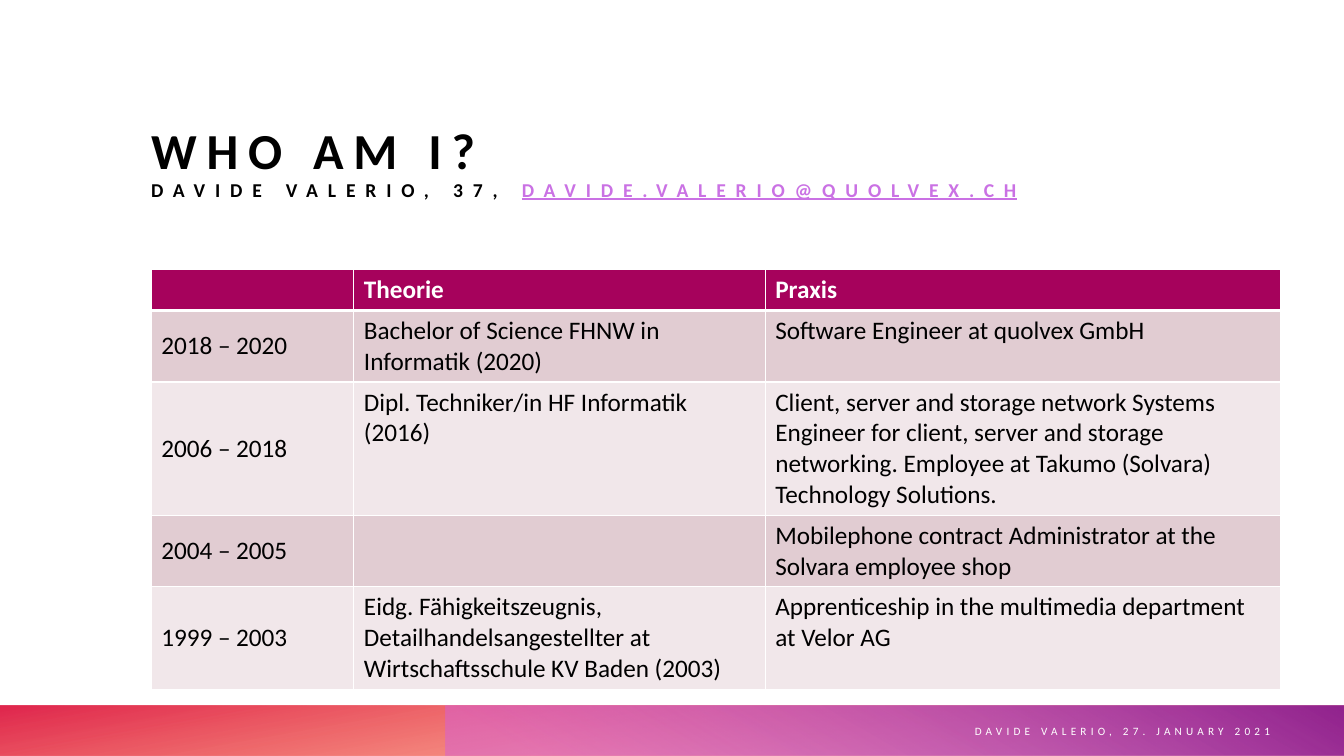
"""Build the "Who am I?" slide with a career table."""
from lxml import etree
from pptx import Presentation
from pptx import util as u
from pptx.dml.color import RGBColor
from pptx.enum import shapes, text
from pptx.oxml.ns import qn

BLACK = RGBColor(0x00, 0x00, 0x00)
WHITE = RGBColor(0xFF, 0xFF, 0xFF)
LILAC = RGBColor(0xCA, 0x71, 0xE4)
CRIMSON = RGBColor(0xA6, 0x02, 0x5C)
ROSE = RGBColor(0xE1, 0xCC, 0xD2)
PALE_ROSE = RGBColor(0xF1, 0xE7, 0xEA)
ORANGE = RGBColor(0xFE, 0x4A, 0x00)
RED = RGBColor(0xDA, 0x00, 0x2F)
ORCHID = RGBColor(0xD8, 0x61, 0xD4)
PURPLE = RGBColor(0x92, 0x24, 0x8E)

CAREER = [
    ("", "Theorie", "Praxis"),
    ("2018 – 2020", "Bachelor of Science FHNW in Informatik\u00a0(2020)",
     "Software Engineer at quolvex GmbH"),
    ("2006 – 2018", "Dipl. Techniker/in HF Informatik (2016)",
     "Client, server and storage network Systems Engineer for client, server and "
     "storage networking. Employee at Takumo (Solvara) Technology Solutions."),
    ("2004 – 2005", "", "Mobilephone contract Administrator at the Solvara employee shop"),
    ("1999 – 2003",
     "Eidg. Fähigkeitszeugnis, Detailhandelsangestellter at Wirtschaftsschule KV Baden (2003)",
     "Apprenticeship in the multimedia department at Velor AG"),
]
COLUMN_WIDTHS = [2.01, 4.08, 5.11]
ROW_HEIGHTS = [0.41, 0.71, 1.32, 0.71, 1.01]


class SlideBuilder:
    def __init__(self, slide, font_name="Calibri"):
        self.slide = slide
        self.font_name = font_name

    def style(self, font, size, color, bold=False):
        font.name = self.font_name
        font.size = u.Pt(size)
        font.bold = bold
        font.color.rgb = color

    def spaced_span(self, para, wording, spacing):
        span = para.add_run()
        span.text = wording
        span.font._element.set("spc", str(spacing * 100))
        return span

    def band(self, left, width, stops, angle, rotation=0):
        band = self.slide.shapes.add_shape(
            shapes.MSO_SHAPE.RECTANGLE, u.Inches(left), u.Inches(7), u.Inches(width), u.Inches(0.5))
        band.shadow.inherit = False
        band.line.fill.background()
        band.rotation = rotation
        band._element.spPr.find(qn("a:xfrm")).set("flipH", "1")
        band.fill.gradient()
        band.fill.gradient_angle = 360 - angle
        for stop, (position, color, _) in zip(band.fill.gradient_stops, stops):
            stop.position = position / 100
            stop.color.rgb = color
        for node, (_, _, opacity) in zip(band._element.spPr.iter(qn("a:srgbClr")), stops):
            etree.SubElement(node, qn("a:alpha")).set("val", str(opacity * 1000))

    def title(self, heading, name, address):
        title = self.slide.shapes.title
        title.left, title.top = u.Inches(1.5), u.Inches(0.87)
        title.width, title.height = u.Inches(11.2), u.Inches(1.35)
        frame = title.text_frame
        frame.auto_size = text.MSO_AUTO_SIZE.NONE
        frame.vertical_anchor = text.MSO_ANCHOR.BOTTOM
        frame.margin_left = frame.margin_top = frame.margin_right = 0
        frame.margin_bottom = u.Inches(0.22)
        para = frame.paragraphs[0]
        para.alignment = text.PP_ALIGN.LEFT
        para.line_spacing = 0.9
        self.style(self.spaced_span(para, heading, 7).font, 36, BLACK, True)
        para.add_line_break()
        self.style(self.spaced_span(para, name, 7).font, 14, BLACK, True)
        contact = self.spaced_span(para, address, 7)
        self.style(contact.font, 14, LILAC, True)
        contact.font.underline = True

    def cell_borders(self, cell, top, bottom):
        properties = cell._tc.get_or_add_tcPr()
        sides = {"lnL": 1, "lnR": 1, "lnT": top, "lnB": bottom}
        for index, (side, points) in enumerate(sides.items()):
            line = etree.Element(qn(f"a:{side}"), w=str(u.Pt(points)))
            fill = etree.SubElement(line, qn("a:solidFill"))
            etree.SubElement(fill, qn("a:srgbClr")).set("val", str(WHITE))
            properties.insert(index, line)

    def table(self, rows, widths, heights):
        frame = self.slide.shapes.add_table(
            len(rows), len(widths), u.Inches(1.5), u.Inches(2.67),
            u.Inches(sum(widths)), u.Inches(sum(heights)))
        table = frame.table
        for column, width in zip(table.columns, widths):
            column.width = u.Inches(width)
        for row_index, (row, height) in enumerate(zip(rows, heights)):
            table.rows[row_index].height = u.Inches(height)
            header = row_index == 0
            color = CRIMSON if header else (ROSE if row_index % 2 else PALE_ROSE)
            for column_index, wording in enumerate(row):
                cell = table.cell(row_index, column_index)
                cell.text = wording
                cell.fill.solid()
                cell.fill.fore_color.rgb = color
                if column_index == 0 and not header:
                    cell.vertical_anchor = text.MSO_ANCHOR.MIDDLE
                self.style(cell.text_frame.paragraphs[0].font, 18,
                           WHITE if header else BLACK, header)
                self.cell_borders(cell, 3 if row_index == 1 else 1, 3 if header else 1)

    def footer(self, wording):
        box = self.slide.shapes.add_textbox(
            u.Inches(8.65), u.Inches(7.01), u.Inches(4.05), u.Inches(0.49))
        frame = box.text_frame
        frame.word_wrap = True
        frame.vertical_anchor = text.MSO_ANCHOR.MIDDLE
        para = frame.paragraphs[0]
        para.alignment = text.PP_ALIGN.RIGHT
        self.style(para.font, 8, WHITE)
        self.spaced_span(para, wording, 3)


def main():
    deck = Presentation()
    deck.slide_width, deck.slide_height = u.Inches(13.33), u.Inches(7.5)
    page = SlideBuilder(deck.slides.add_slide(deck.slide_layouts[5]))
    page.band(0, 13.33, [(14, ORANGE, 28), (100, RED, 85)], 100, rotation=180)
    page.band(4.42, 8.92, [(9, ORCHID, 55), (99, PURPLE, 100)], 240)
    page.title("WHO AM I?", "DAVIDE VALERIO, 37, ", "DAVIDE.VALERIO@QUOLVEX.CH")
    page.table(CAREER, COLUMN_WIDTHS, ROW_HEIGHTS)
    page.footer("DAVIDE VALERIO, 27. JANUARY 2021")
    deck.save("out.pptx")


if __name__ == "__main__":
    main()
